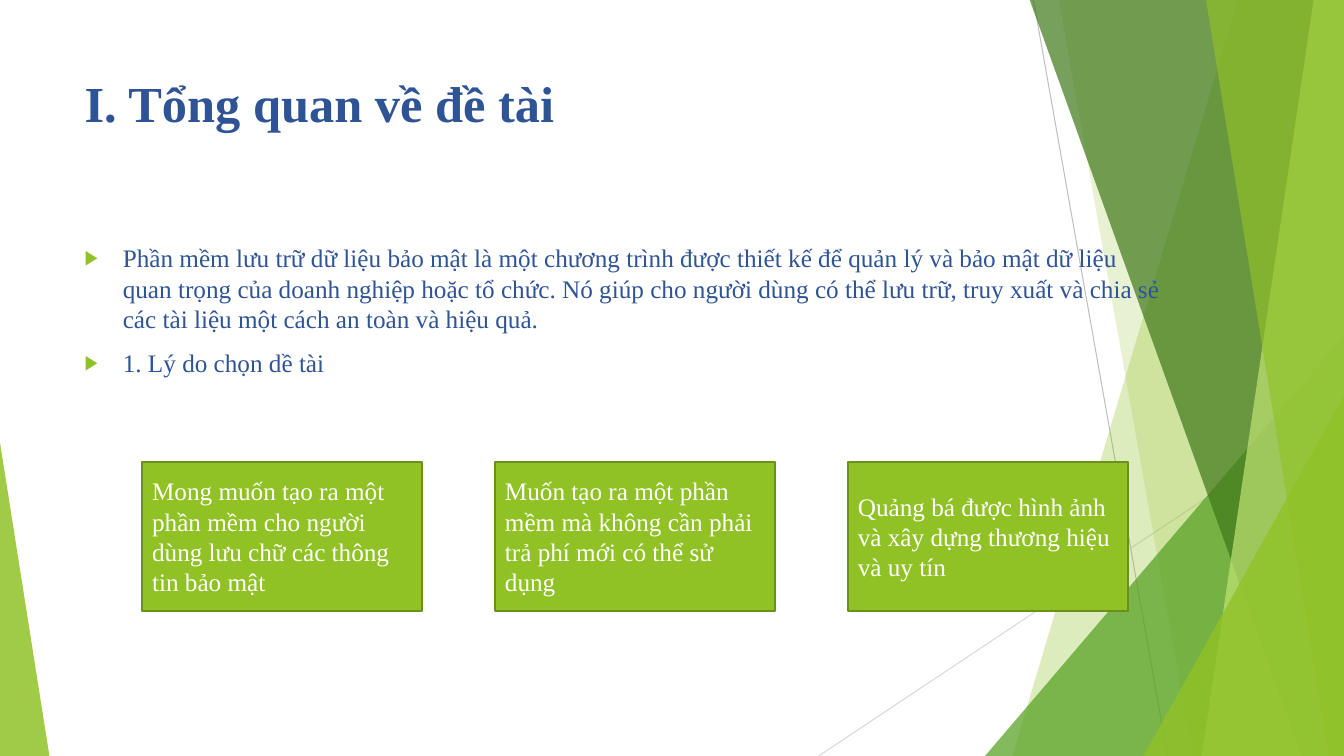
from dataclasses import dataclass

from lxml.etree import SubElement
from pptx import Presentation
from pptx.dml.color import RGBColor
from pptx.enum.shapes import MSO_CONNECTOR, MSO_SHAPE
from pptx.enum.text import MSO_ANCHOR, PP_ALIGN
from pptx.oxml.ns import qn
from pptx.util import Pt

PX = 9144
WIDTH, HEIGHT = 1333, 750


@dataclass(frozen=True)
class Theme:
    font: str = "Times New Roman"
    title_size: int = 36
    text_size: int = 18
    navy: str = "2F5496"
    white: str = "FFFFFF"
    lime: str = "90C226"
    pale_lime: str = "C0E474"
    green: str = "54A021"
    forest: str = "3F7819"
    olive: str = "6B901C"
    gray: str = "BFBFBF"
    light_gray: str = "D9D9D9"


THEME = Theme()

TITLE = "I. Tổng quan về đề tài"
OVERVIEW = [
    "Phần mềm lưu trữ dữ liệu bảo mật là một chương trình được thiết kế để quản lý "
    "và bảo mật dữ liệu quan trọng của doanh nghiệp hoặc tổ chức. Nó giúp cho người "
    "dùng có thể lưu trữ, truy xuất và chia sẻ các tài liệu một cách an toàn và hiệu quả.",
    "1. Lý do chọn dề tài",
]
REASONS = [
    "Mong muốn tạo ra một phần mềm cho người dùng lưu chữ các thông tin bảo mật",
    "Muốn tạo ra một phần mềm mà không cần phải trả phí mới có thể sử dụng",
    "Quảng bá được hình ảnh và xây dựng thương hiệu và uy tín",
]


def emu(*lengths):
    return [length * PX for length in lengths]


def rgb(color):
    return RGBColor.from_string(color)


def paint(shape, color, opacity=100):
    shape.shadow.inherit = False
    shape.fill.solid()
    shape.fill.fore_color.rgb = rgb(color)
    shape.line.fill.background()
    if opacity < 100:
        tint = shape.element.spPr.find(".//" + qn("a:srgbClr"))
        SubElement(tint, qn("a:alpha"), val=str(opacity * 1000))


def style_text(para, size, color, bold=False):
    para.alignment = PP_ALIGN.LEFT
    for span in para.runs:
        span.font.name = THEME.font
        span.font.size = Pt(size)
        span.font.bold = bold
        span.font.color.rgb = rgb(color)


def add_bullet(para):
    para.space_before = Pt(10)
    properties = para._p.get_or_add_pPr()
    properties.set("marL", str(38 * PX))
    properties.set("indent", str(-38 * PX))
    bullet_color = SubElement(properties, qn("a:buClr"))
    SubElement(bullet_color, qn("a:srgbClr"), val=THEME.lime)
    SubElement(properties, qn("a:buSzPct"), val="80000")
    SubElement(properties, qn("a:buFont"), typeface=THEME.font)
    SubElement(properties, qn("a:buChar"), char="▶")


def add_hairline(page, start, end, color):
    line = page.shapes.add_connector(MSO_CONNECTOR.STRAIGHT, *emu(*start, *end))
    line.line.color.rgb = rgb(color)
    line.line.width = Pt(0.75)
    SubElement(line._element.spPr, qn("a:effectLst"))


def add_facet(page, box, top_x, bottom_x, color, opacity):
    left, top, width, height = box
    right, bottom = left + width, top + height
    builder = page.shapes.build_freeform(left + top_x, top, scale=PX)
    builder.add_line_segments(
        [(right, top), (right, bottom), (left + bottom_x, bottom)], close=True
    )
    paint(builder.convert_to_shape(), color, opacity)


def add_corner(page, box, apex, color, opacity):
    corner = page.shapes.add_shape(MSO_SHAPE.ISOSCELES_TRIANGLE, *emu(*box))
    corner.adjustments[0] = apex
    paint(corner, color, opacity)


def add_backdrop(page, box):
    left, top, width, height = box
    right, bottom = left + width, top + height
    facet_box = (left, top - 1, width, height + 1)
    add_hairline(page, (left + 1025, top), (left + 1158, bottom), THEME.gray)
    add_hairline(page, (right, top + 403), (left + 812, bottom), THEME.light_gray)
    add_facet(page, facet_box, 1228, 1004, THEME.lime, 30)
    add_facet(page, facet_box, 1050, 1183, THEME.lime, 20)
    add_corner(page, (right - 356, bottom - 417, 356, 417), 1, THEME.green, 72)
    add_facet(page, facet_box, 1021, 1291, THEME.forest, 70)
    add_facet(page, facet_box, 1303, 1192, THEME.pale_lime, 70)
    add_facet(page, facet_box, 1196, 1318, THEME.lime, 65)
    add_corner(page, (right - 199, bottom - 357, 199, 357), 1, THEME.lime, 80)
    add_corner(page, (left, bottom - 311, 49, 311), 0, THEME.lime, 85)


def add_title(page, box):
    frame = page.shapes.add_textbox(*emu(*box)).text_frame
    frame.word_wrap = True
    frame.text = TITLE
    style_text(frame.paragraphs[0], THEME.title_size, THEME.navy, bold=True)


def add_overview(page, box):
    frame = page.shapes.add_textbox(*emu(*box)).text_frame
    frame.word_wrap = True
    frame.text = "\n".join(OVERVIEW)
    for para in frame.paragraphs:
        style_text(para, THEME.text_size, THEME.navy)
        add_bullet(para)


def add_reasons(page, box):
    left, top, width, height = box
    card_width = 278
    step = (width - card_width) // (len(REASONS) - 1)
    for index, reason in enumerate(REASONS):
        card_box = emu(left + index * step, top, card_width, height)
        card = page.shapes.add_shape(MSO_SHAPE.RECTANGLE, *card_box)
        paint(card, THEME.lime)
        card.line.color.rgb = rgb(THEME.olive)
        card.line.width = Pt(1.5)
        frame = card.text_frame
        frame.word_wrap = True
        frame.vertical_anchor = MSO_ANCHOR.MIDDLE
        frame.text = reason
        style_text(frame.paragraphs[0], THEME.text_size, THEME.white)


def main():
    deck = Presentation()
    deck.slide_width, deck.slide_height = emu(WIDTH, HEIGHT)
    page = deck.slides.add_slide(deck.slide_layouts[6])
    page.background.fill.solid()
    page.background.fill.fore_color.rgb = rgb(THEME.white)
    add_backdrop(page, (0, 0, WIDTH, HEIGHT))
    add_title(page, (74, 67, 940, 144))
    add_overview(page, (74, 236, 1097, 424))
    add_reasons(page, (141, 458, 978, 148))
    deck.save("out.pptx")


if __name__ == "__main__":
    main()
